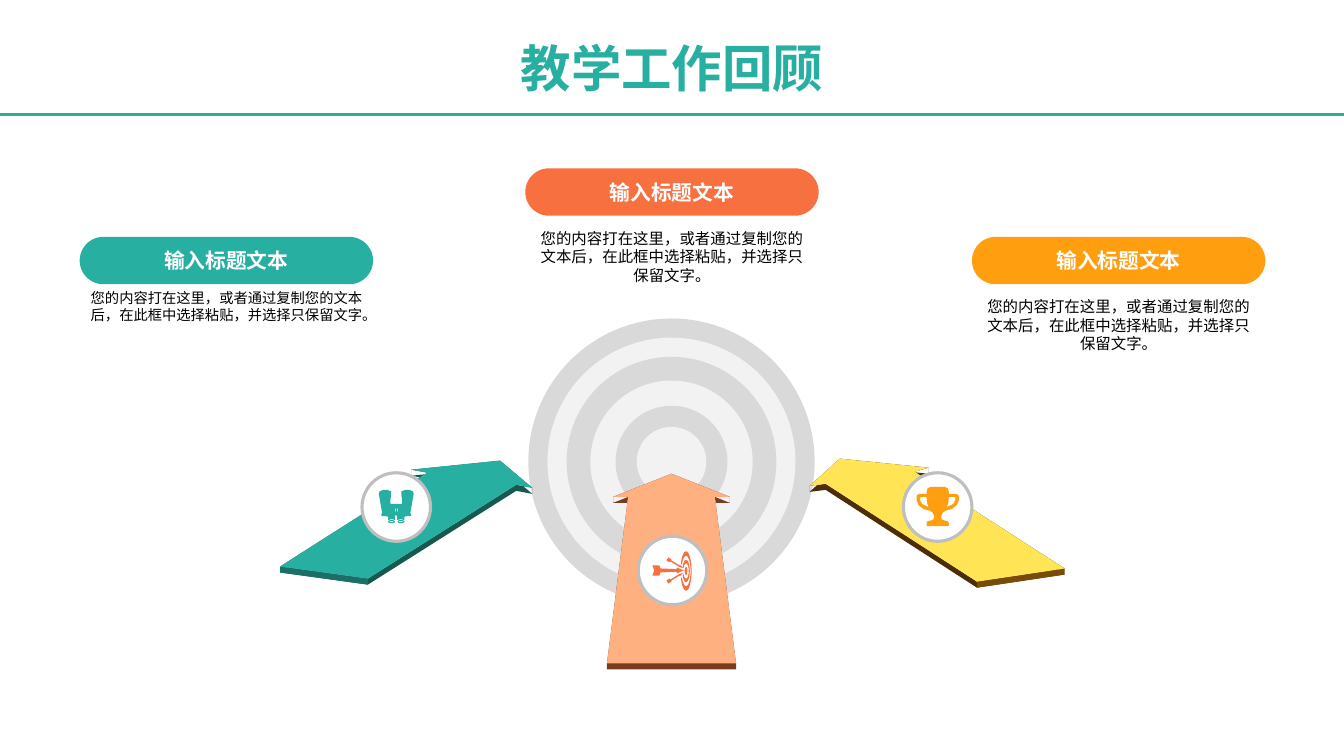
from dataclasses import dataclass
from math import cos, radians, sin

from lxml.etree import SubElement
from pptx import Presentation
from pptx.dml.color import RGBColor
from pptx.enum.shapes import MSO_CONNECTOR, MSO_SHAPE
from pptx.enum.text import MSO_ANCHOR, MSO_AUTO_SIZE, PP_ALIGN
from pptx.oxml.ns import qn
from pptx.util import Inches, Pt

Point = tuple[float, float]
Contour = list[Point]

TEAL, ORANGE, AMBER = "27AFA2", "F77140", "FF9E0F"
CJK_FONT = "Noto Sans CJK SC"
HEADING = "输入标题文本"
BODY = "您的内容打在这里，或者通过复制您的文本后，在此框中选择粘贴，并选择只保留文字。"
PANEL_WIDTH, PILL_HEIGHT = 2.91, 0.47
BADGE_SIZE, ARROW_DEPTH = 0.68, 0.06
TARGET_CENTER = (6.66, 4.58)
TARGET_DIAMETERS = (2.84, 2.46, 2.08, 1.61, 1.11, 0.69)


@dataclass
class Panel:
    """A coloured heading pill with body text below."""
    left: float
    top: float
    colour: str
    body_size: float
    body_inset: float


@dataclass
class Arrow:
    """A thick arrow whose last two points are its tail edge."""
    face: Contour
    face_colour: str
    side_colour: str
    front_colour: str


@dataclass
class Badge:
    """A round badge with icon contours in hundredths of an inch from its centre."""
    center: Point
    colour: str
    icon: list[list[Contour]]


def rgb(value: str) -> RGBColor:
    """Turn a hex string into a colour."""
    return RGBColor.from_string(value)


def fill_shape(shape, colour: str, line_colour: str = "") -> None:
    """Give a shape a flat fill and an optional outline."""
    shape.shadow.inherit = False
    shape.fill.solid()
    shape.fill.fore_color.rgb = rgb(colour)
    if line_colour:
        shape.line.color.rgb = rgb(line_colour)
        shape.line.width = Pt(2.25)
    else:
        shape.line.fill.background()


def write_text(shape, text: str, size: float, colour: str, bold: bool = False,
               font_name: str = "Arial", spacing: float = 1.0, **frame_format) -> None:
    """Write one centred paragraph into a shape."""
    frame = shape.text_frame
    frame_values = {"auto_size": MSO_AUTO_SIZE.NONE, "word_wrap": True,
                    "vertical_anchor": MSO_ANCHOR.MIDDLE} | frame_format
    for name, value in frame_values.items():
        setattr(frame, name, value)
    paragraph = frame.paragraphs[0]
    paragraph.alignment, paragraph.line_spacing = PP_ALIGN.CENTER, spacing
    run = paragraph.add_run()
    run.text = text
    for name, value in {"size": Pt(size), "bold": bold, "name": font_name}.items():
        setattr(run.font, name, value)
    run.font.color.rgb = rgb(colour)
    SubElement(run.font._element, qn("a:ea")).set("typeface", CJK_FONT)


def draw_outline(slide, contours: list[Contour], colour: str) -> None:
    """Draw closed contours, given in inches, as one freeform."""
    scaled = [[(Inches(x), Inches(y)) for x, y in contour] for contour in contours]
    builder = slide.shapes.build_freeform(*scaled[0][0], scale=1.0)
    for index, contour in enumerate(scaled):
        if index:
            builder.move_to(*contour[0])
        builder.add_line_segments(contour[1:], close=True)
    fill_shape(builder.convert_to_shape(), colour)


def draw_circle(slide, center: Point, diameter: float, colour: str, line_colour: str = "") -> None:
    """Draw a circle around a centre."""
    left, top = (Inches(value - diameter / 2) for value in center)
    circle = slide.shapes.add_shape(MSO_SHAPE.OVAL, left, top, Inches(diameter), Inches(diameter))
    fill_shape(circle, colour, line_colour)


def draw_panel(slide, panel: Panel) -> None:
    """Draw the body text and the heading pill."""
    left, width = Inches(panel.left), Inches(PANEL_WIDTH)
    body = slide.shapes.add_textbox(left, Inches(panel.top + PILL_HEIGHT), width, Inches(1.08))
    write_text(body, BODY, panel.body_size, "000000", vertical_anchor=MSO_ANCHOR.TOP,
               margin_top=Inches(panel.body_inset))
    pill = slide.shapes.add_shape(MSO_SHAPE.ROUNDED_RECTANGLE, left, Inches(panel.top),
                                  width, Inches(PILL_HEIGHT))
    pill.adjustments[0] = 0.5
    fill_shape(pill, panel.colour)
    write_text(pill, HEADING, 14.8, "FFFFFF", bold=True, word_wrap=False)


def draw_arrow(slide, arrow: Arrow) -> None:
    """Draw the thickness of an arrow and then its face."""
    edges = zip(arrow.face, arrow.face[1:] + arrow.face[:1])
    walls = [[start, end, (end[0], end[1] + ARROW_DEPTH), (start[0], start[1] + ARROW_DEPTH)]
             for start, end in edges]
    draw_outline(slide, walls, arrow.side_colour)
    draw_outline(slide, [walls[-2]], arrow.front_colour)
    draw_outline(slide, [arrow.face], arrow.face_colour)


def draw_badge(slide, badge: Badge) -> None:
    """Draw a badge and its icon."""
    draw_circle(slide, badge.center, BADGE_SIZE, "FFFFFF", "BFBFBF")
    left, top = badge.center
    for part in badge.icon:
        contours = [[(left + x / 100, top + y / 100) for x, y in contour] for contour in part]
        draw_outline(slide, contours, badge.colour)


def flip(contour: Contour, x_sign: int = -1, y_sign: int = 1) -> Contour:
    """Mirror a contour and reverse its direction."""
    return [(x * x_sign, y * y_sign) for x, y in reversed(contour)]


def arc(x: float, y: float, x_radius: float, y_radius: float, limit: int = 180) -> Contour:
    """Trace an ellipse from minus limit to plus limit degrees."""
    angles = [radians(limit * step / 16) for step in range(-16, 17)]
    return [(x + x_radius * cos(angle), y + y_radius * sin(angle)) for angle in angles]


def target_ring(outer: Point, inner: Point) -> list[Contour]:
    """Build a ring of the target that is open on its left."""
    return [arc(13.5, 0.5, *outer, 157) + arc(13.5, 0.5, *inner, 157)[::-1]]


CUP = [(0, -20), (7, -20), (10, -18.5), (11, -15), (11, -13), (18, -13), (20.5, -12),
       (21, -10), (21, -7), (19, -2), (14, 2), (8, 3.5), (5, 5.5), (3.5, 9), (4, 12),
       (6.5, 13.3), (10, 14), (11, 16), (11, 18.5), (10, 19), (0, 19)]
HANDLE = [(11, -10), (17.5, -10), (17.5, -7), (15.5, -3), (9, 0), (10.5, -4)]
BARREL = [(0, -3), (5.5, -3), (6, -5), (5, -13), (5.2, -15.5), (9, -17), (13, -17),
          (16.5, -15.5), (17.3, -13), (14.5, 3), (14, 6), (15, 8), (14, 9), (9, 9.3),
          (8, 10), (8, 13), (4.5, 12), (1, 13), (1, 7.5), (0, 9)]
DART = [(12, 0.3), (4, -3), (4, -1.3), (-12, -2), (-13, -5), (-20, -5), (-18, 0)]
SMALL_DART = [(-2, -9), (6, -4), (11, -2), (7, -6), (7, -5), (-1, -10), (-1, -11),
              (-4, -13), (-6, -10), (-3, -8)]
EYEPIECES = [[arc(x, 14.5, 3.4, 1.6), arc(x, 14.5, 2.4, 0.6)] for x in (-4.7, 4.7)]
SLOTS = [arc(x, 3, 0.4, 2) for x in (-1, 1)]

PANELS = [Panel(0.79, 2.35, TEAL, 10.2, 0.05), Panel(9.64, 2.35, AMBER, 11, 0.13),
          Panel(5.21, 1.67, ORANGE, 11, 0.13)]
ARROWS = [
    Arrow([(6.23, 4.93), (6.08, 4.93), (6.66, 4.7), (7.24, 4.93), (7.09, 4.93),
           (7.3, 6.58), (6.02, 6.58)], "FEB080", "7A3A20", "7A3A20"),
    Arrow([(4.24, 4.69), (4.08, 4.66), (4.96, 4.57), (5.28, 4.84), (5.12, 4.81),
           (3.65, 5.74), (2.78, 5.62)], TEAL, "17594F", "1C6F66"),
    Arrow([(9.07, 4.68), (9.21, 4.64), (8.33, 4.55), (8.03, 4.82), (8.19, 4.8),
           (9.69, 5.77), (10.56, 5.64)], "FFE555", "4D2E04", "7A4A07"),
]
BADGES = [
    Badge((3.93, 5.03), TEAL, [[BARREL + flip(BARREL), *SLOTS], *EYEPIECES]),
    Badge((9.3, 5.03), AMBER, [[CUP + flip(CUP), HANDLE, flip(HANDLE)]]),
    Badge((6.67, 5.66), ORANGE, [
        target_ring((5.5, 19.5), (4.5, 15)), target_ring((3.7, 11), (2.7, 7.5)),
        [arc(13.5, 0.5, 1.2, 4)], [DART + flip(DART, 1, -1)],
        [SMALL_DART], [flip(SMALL_DART, 1, -1)]]),
]


def main() -> None:
    """Build and save the slide."""
    presentation = Presentation()
    presentation.slide_width, presentation.slide_height = Inches(13.33), Inches(7.5)
    slide = presentation.slides.add_slide(presentation.slide_layouts[5])
    rule = slide.shapes.add_connector(MSO_CONNECTOR.STRAIGHT, 0, Inches(1.14),
                                      Inches(13.33), Inches(1.14))
    rule.line.color.rgb, rule.line.width = rgb(TEAL), Pt(2.25)
    SubElement(rule._element.spPr, qn("a:effectLst"))
    title = slide.shapes.title
    for name, value in {"left": 3.6, "top": 0.17, "width": 6.13, "height": 0.81}.items():
        setattr(title, name, Inches(value))
    write_text(title, "教学工作回顾", 36, TEAL, True, CJK_FONT, 1.3)
    for panel in PANELS:
        draw_panel(slide, panel)
    for index, diameter in enumerate(TARGET_DIAMETERS):
        draw_circle(slide, TARGET_CENTER, diameter, "F2F2F2" if index % 2 else "D9D9D9")
    for arrow in ARROWS:
        draw_arrow(slide, arrow)
    for badge in BADGES:
        draw_badge(slide, badge)
    presentation.save("out.pptx")


if __name__ == "__main__":
    main()
